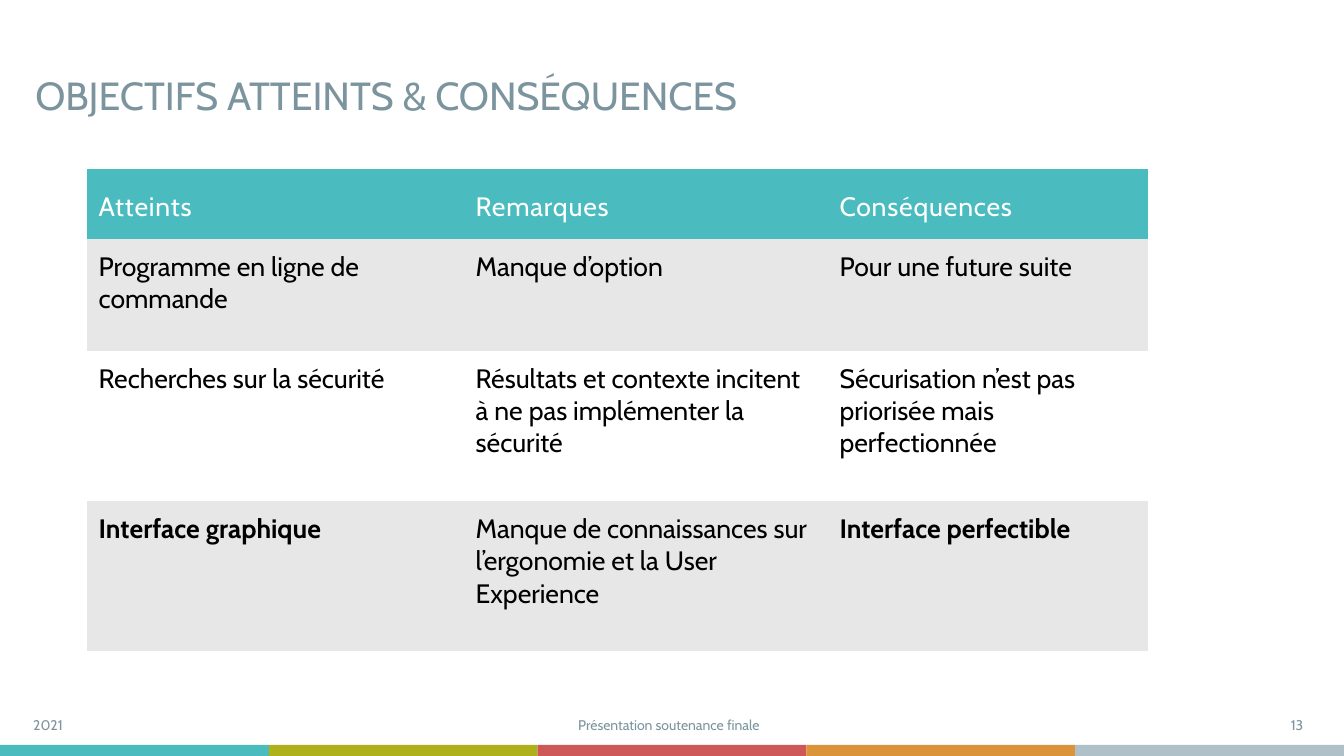
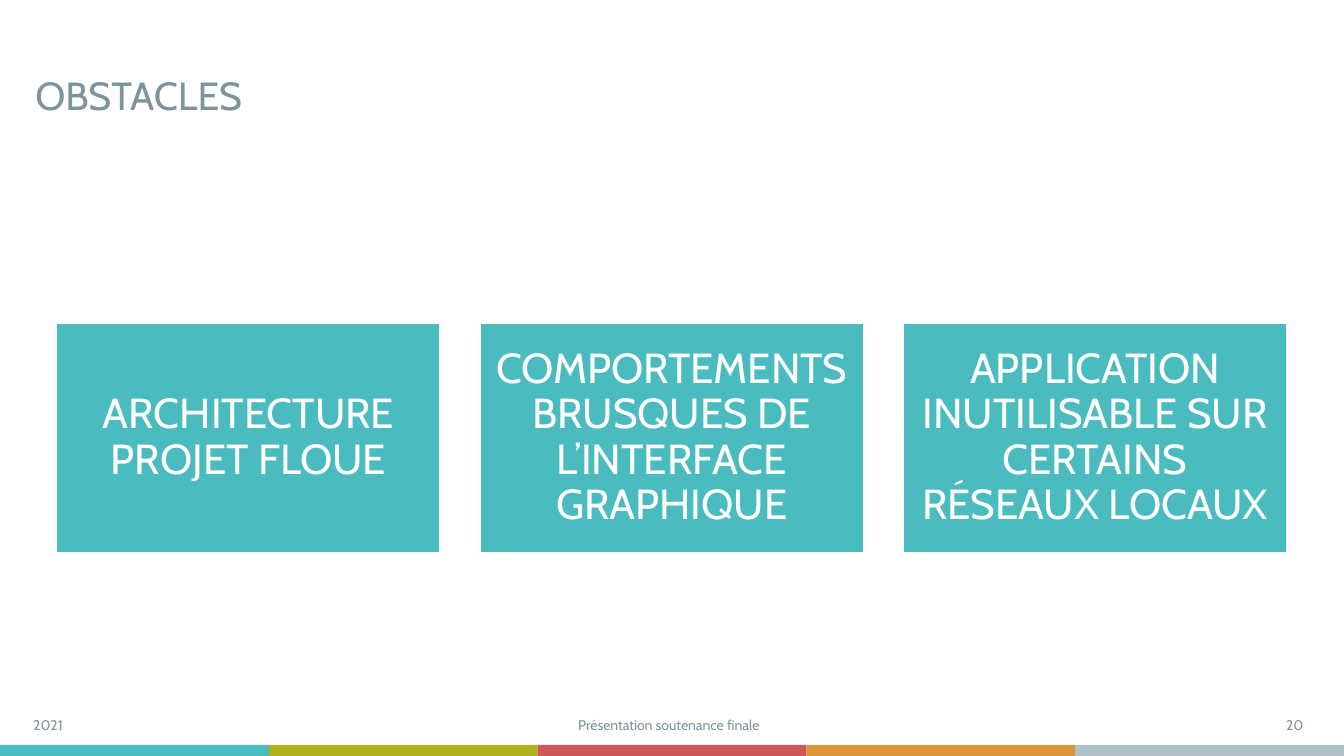
from pptx import Presentation
from pptx.dml.color import RGBColor
from pptx.enum.shapes import MSO_SHAPE
from pptx.enum.text import MSO_ANCHOR, PP_ALIGN
from pptx.oxml.ns import qn
from pptx.util import Inches, Pt

RECTANGLE = MSO_SHAPE.RECTANGLE
TOP, MIDDLE = MSO_ANCHOR.TOP, MSO_ANCHOR.MIDDLE
LEFT, CENTER, RIGHT = PP_ALIGN.LEFT, PP_ALIGN.CENTER, PP_ALIGN.RIGHT

FONT = "Cabin"
TEAL, WHITE, BLACK = "4ABBBF", "FFFFFF", "000000"
SLATE, GREY = "7B949E", "E7E7E7"
BAND_COLORS = [TEAL, "AEB11C", "CE5858", "DC943B", "AFC0C9"]
SLIDE_WIDTH, SLIDE_HEIGHT = 13.333, 7.5
NO_TABLE_STYLE = "{2D5ABB26-0587-4C30-8999-92F81FD0307C}"

TABLE_ROWS = [
    ["Atteints", "Remarques", "Conséquences"],
    ["Programme en ligne de commande", "Manque d’option",
     "Pour une future suite"],
    ["Recherches sur la sécurité",
     "Résultats et contexte incitent à ne pas implémenter la sécurité",
     "Sécurisation n’est pas priorisée mais perfectionnée"],
    ["Interface graphique",
     "Manque de connaissances sur l’ergonomie et la User Experience",
     "Interface perfectible"],
]
BOLD_TEXTS = {"Interface graphique", "Interface perfectible"}
OBSTACLES = [
    "ARCHITECTURE PROJET FLOUE",
    "COMPORTEMENTS BRUSQUES DE L’INTERFACE GRAPHIQUE",
    "APPLICATION INUTILISABLE SUR CERTAINS RÉSEAUX LOCAUX",
]


def color(hex_value):
    return RGBColor.from_string(hex_value)


def set_margins(target, margins):
    """Margins of a text frame or a table cell: left, top, right, bottom."""
    sides = ("left", "top", "right", "bottom")
    for side, margin in zip(sides, margins):
        setattr(target, f"margin_{side}", Inches(margin))


def write_text(frame, text, *, size, hex_color, align=LEFT, bold=False,
               line_spacing=None, letter_spacing=0):
    frame.word_wrap = True
    paragraph = frame.paragraphs[0]
    paragraph.alignment = align
    if line_spacing:
        paragraph.line_spacing = line_spacing
    run = paragraph.add_run()
    run.text = text
    run.font.name = FONT
    run.font.size = Pt(size)
    run.font.bold = bold
    run.font.color.rgb = color(hex_color)
    if letter_spacing:
        run.font._element.set("spc", str(round(letter_spacing * 100)))


def add_text(slide, box, text, *, margins=(0.1, 0.05, 0.1, 0.05), **text_format):
    shape = slide.shapes.add_textbox(*map(Inches, box))
    shape.text_frame.vertical_anchor = MIDDLE
    set_margins(shape.text_frame, margins)
    write_text(shape.text_frame, text, **text_format)


def add_rectangle(slide, box, fill, line=None):
    shape = slide.shapes.add_shape(RECTANGLE, *map(Inches, box))
    shape.shadow.inherit = False
    shape.fill.solid()
    shape.fill.fore_color.rgb = color(fill)
    if line:
        shape.line.color.rgb = color(line)
        shape.line.width = Pt(1.5)
    else:
        shape.line.fill.background()
    return shape


def add_color_band(slide, box):
    left, top, width, height = box
    part_width = width / len(BAND_COLORS)
    for index, fill in enumerate(BAND_COLORS):
        part = (left + index * part_width, top, part_width, height)
        add_rectangle(slide, part, fill)


def add_footer(slide, box, number):
    left, top, width, height = box
    side_width, center_width = 2.3, 7.47
    side_margins = (0, 0.05, 0, 0.05)
    style = {"size": 10, "hex_color": SLATE}
    add_text(slide, (left, top, side_width, height), "2021",
             margins=side_margins, **style)
    add_text(slide, (left + 2.57, top, center_width, height),
             "Présentation soutenance finale", align=CENTER, **style)
    add_text(slide, (left + width - side_width, top, side_width, height),
             str(number), margins=side_margins, align=RIGHT, **style)


def add_base_slide(presentation, title, number):
    """Blank slide with the shared band, title and footer."""
    slide = presentation.slides.add_slide(presentation.slide_layouts[6])
    add_color_band(slide, (0, 7.39, SLIDE_WIDTH, 0.11))
    add_text(slide, (0, 0.59, 11.71, 0.75), title, size=28, hex_color=SLATE,
             margins=(0.35, 0.05, 0.2, 0.05), line_spacing=0.9)
    add_footer(slide, (0.33, 6.99, 12.6, 0.4), number)
    return slide


def add_goals_table(slide, box, column_widths, row_heights):
    frame = slide.shapes.add_table(len(row_heights), len(column_widths),
                                   *map(Inches, box))
    table = frame.table
    table._tbl.tblPr.find(qn("a:tableStyleId")).text = NO_TABLE_STYLE
    for column, width in zip(table.columns, column_widths):
        column.width = Inches(width)
    for row, height in zip(table.rows, row_heights):
        row.height = Inches(height)
    for row_index, texts in enumerate(TABLE_ROWS):
        header = row_index == 0
        fill = TEAL if header else (GREY if row_index % 2 else WHITE)
        for column_index, text in enumerate(texts):
            cell = table.cell(row_index, column_index)
            cell.fill.solid()
            cell.fill.fore_color.rgb = color(fill)
            cell.vertical_anchor = MIDDLE if header else TOP
            set_margins(cell, (0.12, 0.12, 0.12, 0.06))
            write_text(cell.text_frame, text, size=19,
                       hex_color=WHITE if header else BLACK,
                       bold=text in BOLD_TEXTS,
                       letter_spacing=0.6 if header else 0)


def add_obstacle_cards(slide, box):
    left, top, width, height = box
    card_width = 3.81
    step = (width - card_width) / (len(OBSTACLES) - 1)
    for index, text in enumerate(OBSTACLES):
        card = add_rectangle(
            slide, (left + index * step, top, card_width, height), TEAL, WHITE)
        card.text_frame.vertical_anchor = MIDDLE
        set_margins(card.text_frame, (0.12,) * 4)
        write_text(card.text_frame, text, size=30, hex_color=WHITE,
                   align=CENTER, line_spacing=0.9)


def main():
    presentation = Presentation()
    presentation.slide_width = Inches(SLIDE_WIDTH)
    presentation.slide_height = Inches(SLIDE_HEIGHT)

    # Goals and consequences
    slide = add_base_slide(presentation, "OBJECTIFS ATTEINTS & CONSÉQUENCES", 13)
    add_goals_table(slide, (0.86, 1.68, 10.53, 4.78),
                    [3.74, 3.61, 3.18], [0.69, 1.11, 1.49, 1.49])

    # Obstacles
    slide = add_base_slide(presentation, "OBSTACLES", 20)
    add_obstacle_cards(slide, (0.56, 3.2, 12.21, 2.29))

    presentation.save("out.pptx")


if __name__ == "__main__":
    main()
